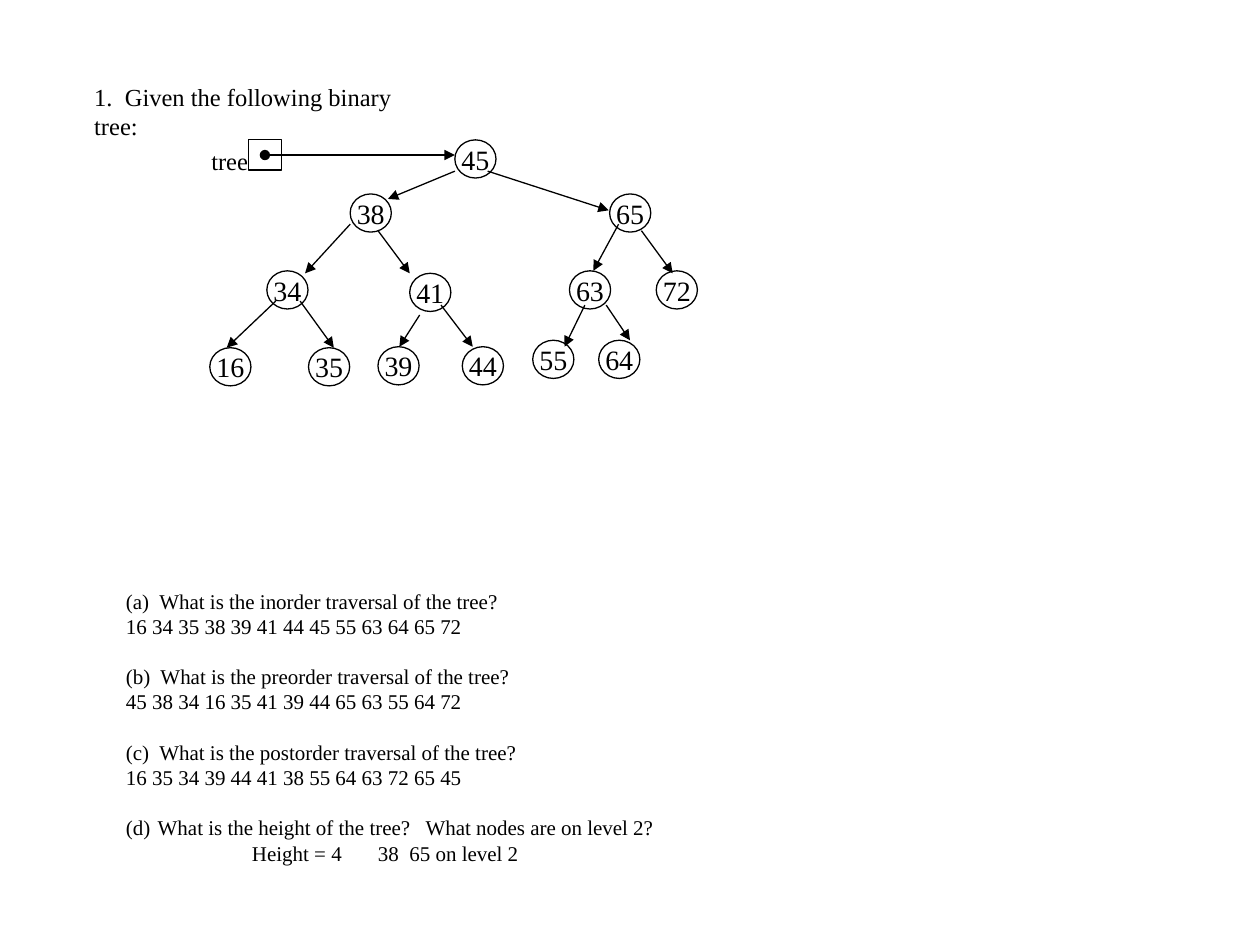
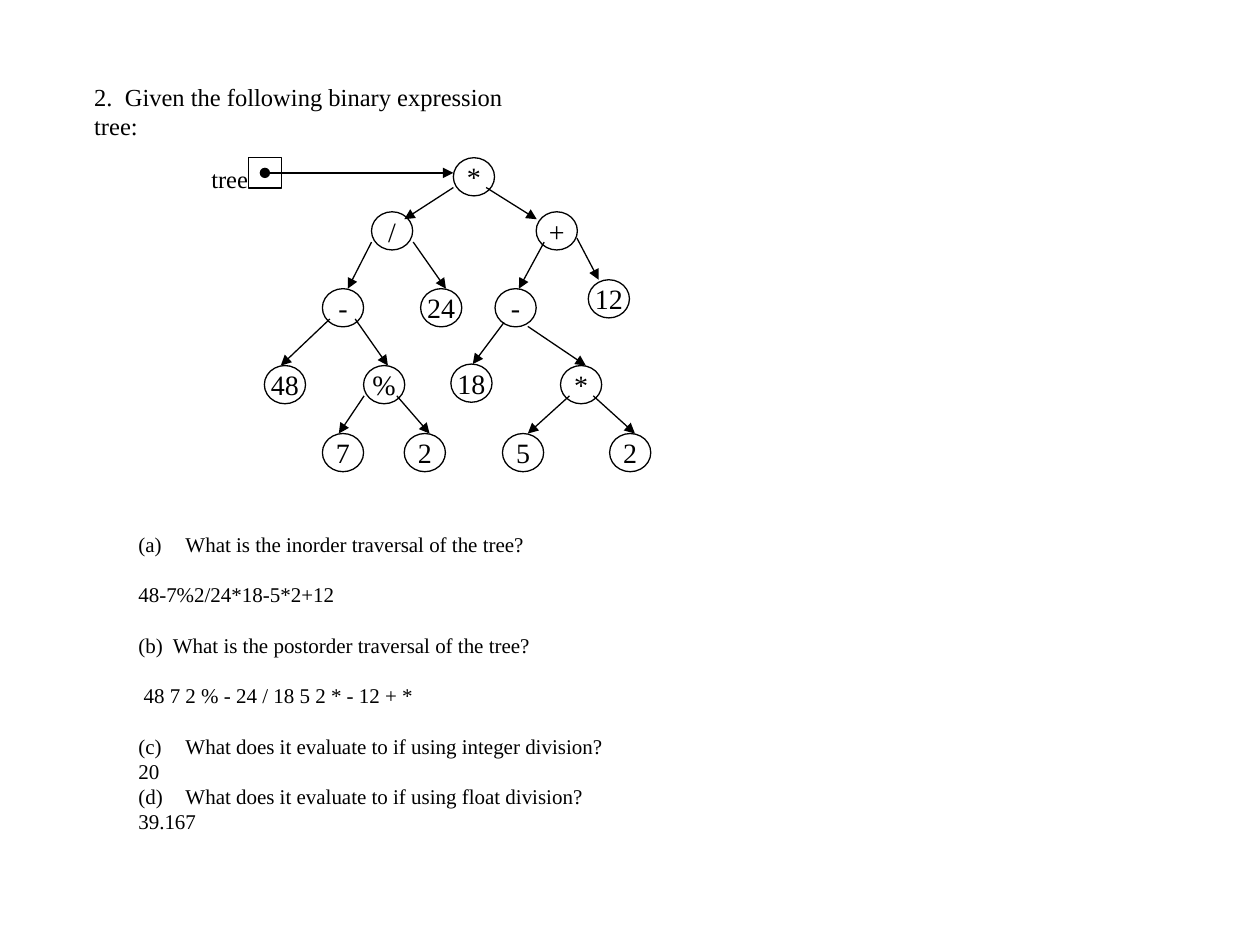
from lxml import etree
from pptx import Presentation
from pptx.dml.color import RGBColor
from pptx.enum.shapes import MSO_CONNECTOR, MSO_SHAPE
from pptx.enum.text import MSO_ANCHOR, PP_ALIGN
from pptx.oxml.ns import qn
from pptx.util import Cm, Pt

OVAL, RECT = MSO_SHAPE.OVAL, MSO_SHAPE.RECTANGLE
STRAIGHT = MSO_CONNECTOR.STRAIGHT
LEFT, CENTER = PP_ALIGN.LEFT, PP_ALIGN.CENTER
TOP, MIDDLE = MSO_ANCHOR.TOP, MSO_ANCHOR.MIDDLE

FONT = "Times New Roman"
INK = RGBColor.from_string("000000")
LINE_WIDTH = Pt(0.75)
NODE_W, NODE_H = 0.83, 0.77
POINTER_X, POINTER_W, POINTER_H = 5.01, 0.66, 0.61
TAB_STOPS = (2.54, 5.08)

# Nodes: label, left, top. Edges: start x, y, end x, y. All in centimetres.
# Lines: text, blank lines above, letter number (0 for none).
exercises = [
    {
        "title": "1.  Given the following binary tree:",
        "title_width": 7.49,
        "nodes": [
            ("45", 9.17, 2.82),
            ("38", 7.06, 3.91), ("65", 12.29, 3.91),
            ("34", 5.38, 5.46), ("41", 8.26, 5.51),
            ("63", 11.48, 5.46), ("72", 13.23, 5.46),
            ("16", 4.23, 7.01), ("35", 6.22, 7.01),
            ("39", 7.62, 6.99), ("44", 9.32, 6.99),
            ("55", 10.74, 6.86), ("64", 12.07, 6.86),
        ],
        "edges": [
            (9.17, 3.45, 7.82, 4.01), (9.83, 3.45, 12.27, 4.24),
            (7.06, 4.52, 6.15, 5.51), (7.62, 4.65, 8.26, 5.51),
            (12.47, 4.52, 11.96, 5.46), (12.93, 4.65, 13.56, 5.51),
            (5.56, 6.07, 4.57, 7.01), (6.05, 6.07, 6.73, 7.01),
            (8.46, 6.35, 8.05, 6.99), (8.89, 6.15, 9.53, 6.99),
            (11.79, 6.15, 11.38, 6.99), (12.22, 6.15, 12.7, 6.86),
        ],
        "questions_at": (2.29, 11.73, 11.3, 5.89),
        "hanging": 0.64,
        "questions": [
            ("(a)  What is the inorder traversal of the tree?", 0, 0),
            ("16 34 35 38 39 41 44 45 55 63 64 65 72", 0, 0),
            ("(b)  What is the preorder traversal of the tree?", 1, 0),
            ("45 38 34 16 35 41 39 44 65 63 55 64 72", 0, 0),
            ("(c)  What is the postorder traversal of the tree?", 1, 0),
            ("16 35 34 39 44 41 38 55 64 63 72 65 45", 0, 0),
            ("What is the height of the tree?   What nodes are on level 2?", 1, 4),
            ("\tHeight = 4 \t38  65 on level 2", 0, 0),
        ],
    },
    {
        "title": "2.  Given the following binary expression tree:",
        "title_width": 9.73,
        "nodes": [
            ("*", 9.14, 3.18),
            ("/", 7.49, 4.27), ("+", 10.81, 4.27),
            ("-", 6.5, 5.82), ("24", 8.48, 5.82),
            ("-", 9.98, 5.82), ("12", 11.86, 5.64),
            ("48", 5.33, 7.37), ("%", 7.33, 7.37),
            ("18", 9.09, 7.34), ("*", 11.3, 7.37),
            ("7", 6.5, 8.74), ("2", 8.15, 8.74),
            ("5", 10.13, 8.74), ("2", 12.29, 8.74),
        ],
        "edges": [
            (9.14, 3.78, 8.15, 4.42), (9.8, 3.78, 10.82, 4.42),
            (7.49, 4.88, 7.01, 5.82), (8.33, 4.88, 8.99, 5.82),
            (10.97, 4.88, 10.46, 5.82), (11.63, 4.8, 12.07, 5.64),
            (6.65, 6.43, 5.66, 7.37), (7.16, 6.43, 7.82, 7.37),
            (10.16, 6.5, 9.53, 7.34), (10.64, 6.58, 11.81, 7.37),
            (7.34, 7.98, 6.83, 8.74), (8, 7.98, 8.66, 8.74),
            (11.48, 7.98, 10.64, 8.74), (11.96, 7.98, 12.8, 8.74),
        ],
        "questions_at": (2.54, 10.59, 10.01, 7.44),
        "hanging": 0.95,
        "questions": [
            ("What is the inorder traversal of the tree?", 0, 1),
            ("48-7%2/24*18-5*2+12", 1, 0),
            ("(b)  What is the postorder traversal of the tree?", 1, 0),
            (" 48 7 2 % - 24 / 18 5 2 * - 12 + *", 1, 0),
            ("What does it evaluate to if using integer division?", 1, 3),
            ("20", 0, 0),
            ("What does it evaluate to if using float division?", 0, 4),
            ("39.167", 0, 0),
        ],
    },
]


def write(shape, lines, size, align=LEFT, anchor=TOP, wrap=True,
          spacing=None, hanging=0):
    """Fill a shape with lines of (text, blank lines above, letter number)."""
    frame = shape.text_frame
    frame.word_wrap = wrap
    frame.vertical_anchor = anchor
    for index, (text, gap, number) in enumerate(lines):
        paragraph = frame.add_paragraph() if index else frame.paragraphs[0]
        paragraph.alignment = align
        if spacing:
            paragraph.line_spacing = Pt(spacing)
            paragraph.space_before = Pt(gap * spacing)
        run = paragraph.add_run()
        run.text = text
        run.font.name, run.font.size = FONT, Pt(size)
        run.font.color.rgb = INK
        props = paragraph._p.get_or_add_pPr()
        if number:
            props.set("marL", str(Cm(hanging)))
            props.set("indent", str(-Cm(hanging)))
            etree.SubElement(props, qn("a:buAutoNum"),
                             type="alphaLcParenBoth", startAt=str(number))
        if "\t" in text:
            tabs = etree.SubElement(props, qn("a:tabLst"))
            for stop in TAB_STOPS:
                etree.SubElement(tabs, qn("a:tab"), pos=str(Cm(stop)), algn="l")


def draw_arrow(slide, x1, y1, x2, y2, dot=False):
    arrow = slide.shapes.add_connector(STRAIGHT, Cm(x1), Cm(y1), Cm(x2), Cm(y2))
    arrow.line.color.rgb = INK
    arrow.line.width = LINE_WIDTH
    outline = arrow.line._get_or_add_ln()
    if dot:
        etree.SubElement(outline, qn("a:headEnd"), type="oval")
    etree.SubElement(outline, qn("a:tailEnd"), type="triangle")
    etree.SubElement(arrow._element.spPr, qn("a:effectLst"))


prs = Presentation()
prs.slide_width, prs.slide_height = Cm(25.4), Cm(19.05)

for exercise in exercises:
    slide = prs.slides.add_slide(prs.slide_layouts[6])
    shapes = slide.shapes

    # Title and questions
    title = shapes.add_textbox(Cm(1.65), Cm(1.52),
                               Cm(exercise["title_width"]), Cm(0.84))
    write(title, [(exercise["title"], 0, 0)], 14, spacing=16.8)
    questions = shapes.add_textbox(*map(Cm, exercise["questions_at"]))
    write(questions, exercise["questions"], 12, spacing=14.4,
          hanging=exercise["hanging"])

    # Tree nodes, with the pointer box level with the root
    _, root_x, root_y = exercise["nodes"][0]
    outlines = [(OVAL, label, x, y, NODE_W, NODE_H)
                for label, x, y in exercise["nodes"]]
    outlines.append((RECT, "", POINTER_X, root_y, POINTER_W, POINTER_H))
    for kind, label, x, y, width, height in outlines:
        node = shapes.add_shape(kind, Cm(x), Cm(y), Cm(width), Cm(height))
        node.shadow.inherit = False
        node.fill.background()
        node.line.color.rgb = INK
        node.line.width = LINE_WIDTH
        if label:
            write(node, [(label, 0, 0)], 16, align=CENTER, anchor=MIDDLE,
                  wrap=False)

    # Pointer label and arrow to the root
    pointer_label = shapes.add_textbox(Cm(4.01), Cm(root_y), Cm(1.35), Cm(0.84))
    write(pointer_label, [("tree", 0, 0)], 14, wrap=False)
    pointer_y = root_y + POINTER_H / 2
    draw_arrow(slide, POINTER_X + POINTER_W / 2, pointer_y,
               root_x, pointer_y, dot=True)

    # Branches
    for edge in exercise["edges"]:
        draw_arrow(slide, *edge)

prs.save("out.pptx")
